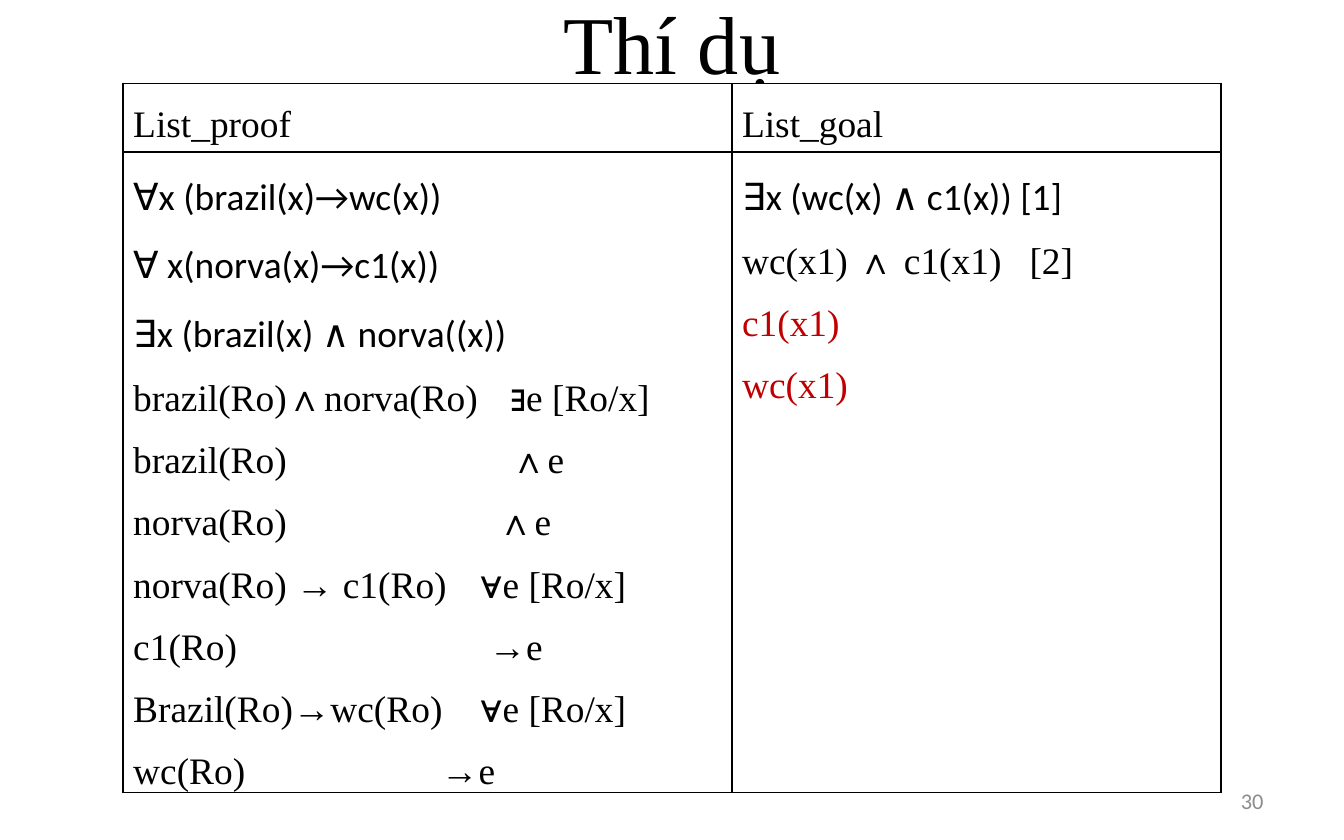
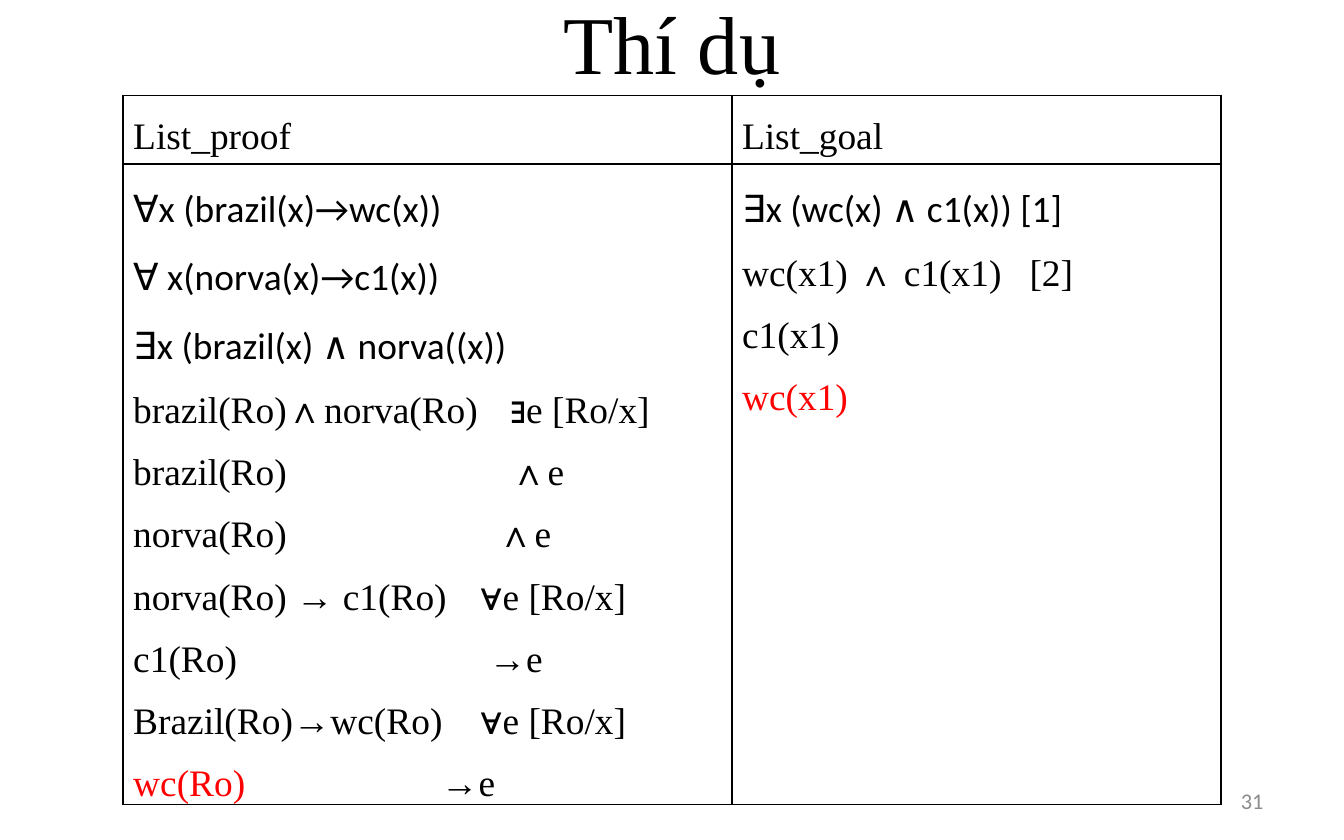
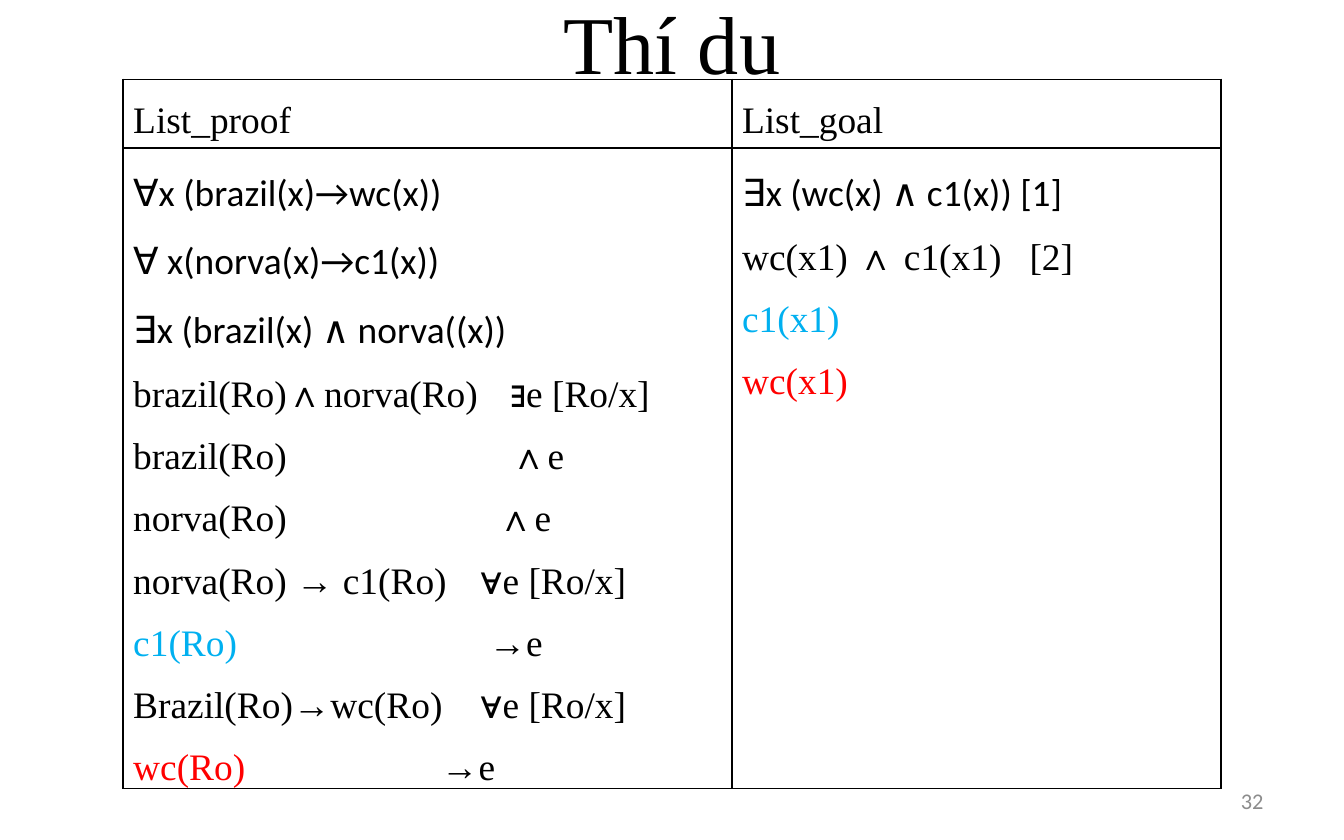
import pptx
import pptx.dml.color
import pptx.enum.text
import pptx.oxml
import pptx.oxml.ns
import pptx.util

Pt = pptx.util.Pt
RGBColor = pptx.dml.color.RGBColor
Align = pptx.enum.text.PP_ALIGN
MIDDLE = pptx.enum.text.MSO_ANCHOR.MIDDLE

BLACK = RGBColor(0x00, 0x00, 0x00)
WHITE = RGBColor(0xFF, 0xFF, 0xFF)
GREY = RGBColor(0x8C, 0x8C, 0x8C)
DARK_RED = RGBColor(0xC0, 0x00, 0x00)
RED = RGBColor(0xFF, 0x00, 0x00)
BLUE = RGBColor(0x00, 0xB0, 0xF0)

SERIF, SANS = "Times New Roman", "Calibri"
TITLE = {"name": SERIF, "size": Pt(44)}
BODY = {"name": SERIF, "size": Pt(20)}
RULE = {"name": SANS, "size": Pt(20)}
FOOT = {"name": SANS, "size": Pt(12)}

# Boxes are left, top, width, height in points
TITLE_BOX = (36, -15.12, 648, 74.88)
FOOT_BOX = (516.24, 416.88, 167.76, 23.76)
LEFT, HEIGHT = 66, 396.72
COLS, ROWS = (326.16, 262.08), (36.72, 41.76)

# Each line is format, formula, note, tab stop of the note
HEADS = [[(BODY, "List_proof", "", 0)], [(BODY, "List_goal", "", 0)]]
PROOF = [
    (RULE, "∀x (brazil(x)→wc(x))", "", 0),
    (RULE, "∀ x(norva(x)→c1(x))", "", 0),
    (RULE, "∃x (brazil(x) ∧ norva((x))", "", 0),
    (BODY, "brazil(Ro)∧norva(Ro)", "∃e [Ro/x]", 202),
    (BODY, "brazil(Ro)", "∧e", 202),
    (BODY, "norva(Ro)", "∧e", 195),
    (BODY, "norva(Ro) → c1(Ro)", "∀e [Ro/x]", 186),
    (BODY, "c1(Ro)", "→e", 190.5),
    (BODY, "Brazil(Ro)→wc(Ro)", "∀e [Ro/x]", 186),
    (BODY, "wc(Ro)", "→e", 165),
]
GOAL = [
    (RULE, "∃x (wc(x) ∧ c1(x)) [1]", "", 0),
    (BODY, "wc(x1) ∧ c1(x1)", "[2]", 154),
    (BODY, "c1(x1)", "", 0),
    (BODY, "wc(x1)", "", 0),
]

# Page number, table top, coloured formulas
SLIDES = [
    (30, 44.64, {"c1(x1)": DARK_RED, "wc(x1)": DARK_RED}),
    (31, 51.12, {"wc(Ro)": RED, "wc(x1)": RED}),
    (32, 42.48, {"c1(Ro)": BLUE, "c1(x1)": BLUE,
                 "wc(Ro)": RED, "wc(x1)": RED}),
]


def assign(item, values):
    for name, value in values.items():
        setattr(item, name, value)


def add_run(para, text, style, color=BLACK):
    run = para.add_run()
    run.text = text
    assign(run.font, style)
    run.font.color.rgb = color


def fill_box(shape, box, text, style, align, color):
    places = map(Pt, box)
    assign(shape, dict(zip(("left", "top", "width", "height"), places)))
    frame = shape.text_frame
    assign(frame, {"word_wrap": True, "vertical_anchor": MIDDLE,
                   "auto_size": pptx.enum.text.MSO_AUTO_SIZE.NONE})
    para = frame.paragraphs[0]
    para.alignment = align
    add_run(para, text, style, color)


def add_tab(para, pos):
    props = para._p.get_or_add_pPr()
    stops = pptx.oxml.parse_xml(
        f'<a:tabLst {pptx.oxml.ns.nsdecls("a")}>'
        f'<a:tab pos="{Pt(pos)}" algn="l"/></a:tabLst>')
    props.append(stops)


def frame_cell(cell):
    """Fill the cell white and rule its four sides."""
    assign(cell, {"margin_left": Pt(5.4), "margin_right": Pt(5.4),
                  "margin_top": 0, "margin_bottom": 0})
    cell.fill.solid()
    cell.fill.fore_color.rgb = WHITE
    props = cell._tc.get_or_add_tcPr()
    for spot, side in enumerate("LRTB"):
        props.insert(spot, pptx.oxml.parse_xml(
            f'<a:ln{side} {pptx.oxml.ns.nsdecls("a")} w="{Pt(1)}">'
            f'<a:solidFill><a:srgbClr val="{BLACK}"/></a:solidFill>'
            f'</a:ln{side}>'))


def fill_cell(cell, lines, marks):
    frame_cell(cell)
    frame = cell.text_frame
    for spot, (style, lead, note, stop) in enumerate(lines):
        para = frame.add_paragraph() if spot else frame.paragraphs[0]
        assign(para, {"alignment": Align.JUSTIFY, "line_spacing": 1.5})
        add_run(para, lead, style, marks.get(lead, BLACK))
        if note:
            add_tab(para, stop)
            add_run(para, "\t" + note, style)


def add_grid(slide, top, marks):
    box = map(Pt, (LEFT, top, sum(COLS), HEIGHT))
    frame = slide.shapes.add_table(len(ROWS), len(COLS), *box)
    table = frame.table
    for col, width in zip(table.columns, COLS):
        col.width = Pt(width)
    for row, height in zip(table.rows, ROWS):
        row.height = Pt(height)
    frame.height = Pt(HEIGHT)
    for row, texts in zip(table.rows, (HEADS, (PROOF, GOAL))):
        for cell, lines in zip(row.cells, texts):
            fill_cell(cell, lines, marks)


def add_slide(deck, page, top, marks):
    slide = deck.slides.add_slide(deck.slide_layouts[5])
    fill_box(slide.shapes.title, TITLE_BOX, "Thí dụ", TITLE,
             Align.CENTER, BLACK)
    foot = slide.shapes.add_textbox(*map(Pt, FOOT_BOX))
    fill_box(foot, FOOT_BOX, str(page), FOOT, Align.RIGHT, GREY)
    add_grid(slide, top, marks)


def main():
    deck = pptx.Presentation()
    assign(deck, {"slide_width": Pt(720), "slide_height": Pt(450)})
    for page, top, marks in SLIDES:
        add_slide(deck, page, top, marks)
    deck.save("out.pptx")


if __name__ == "__main__":
    main()
